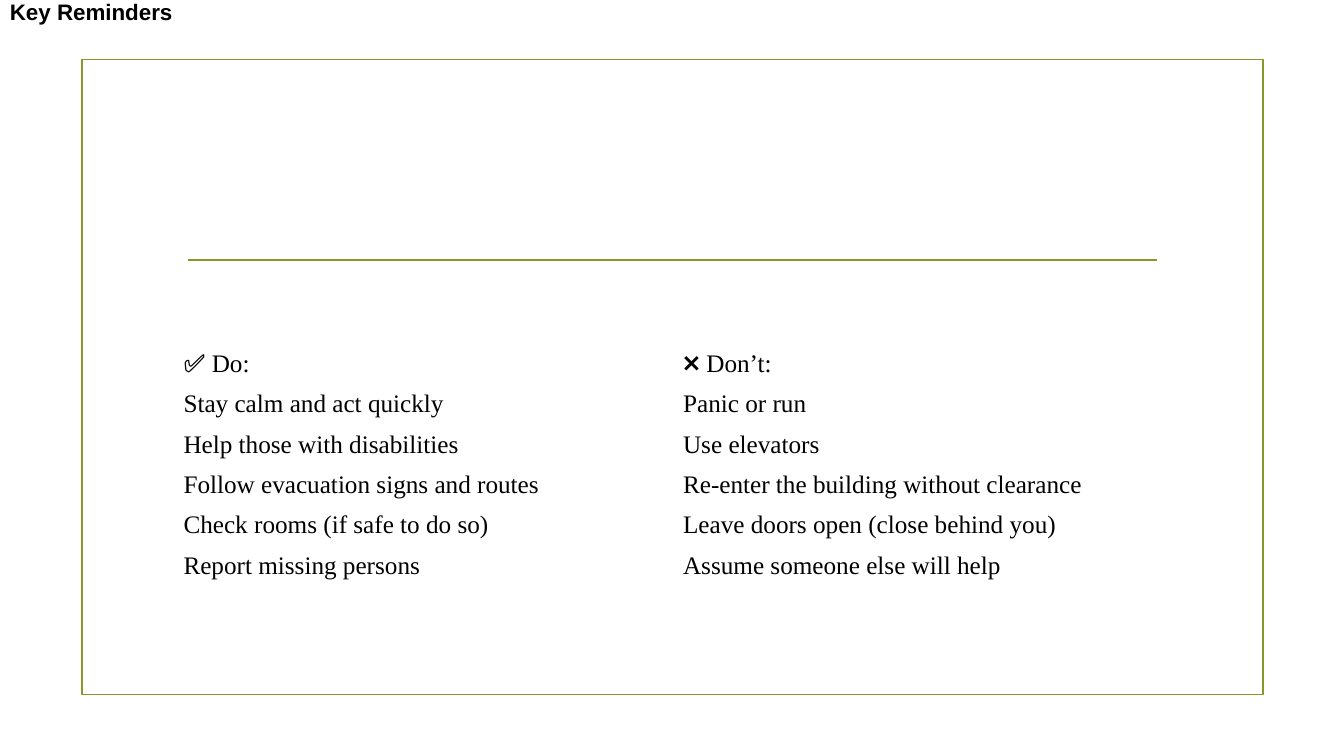
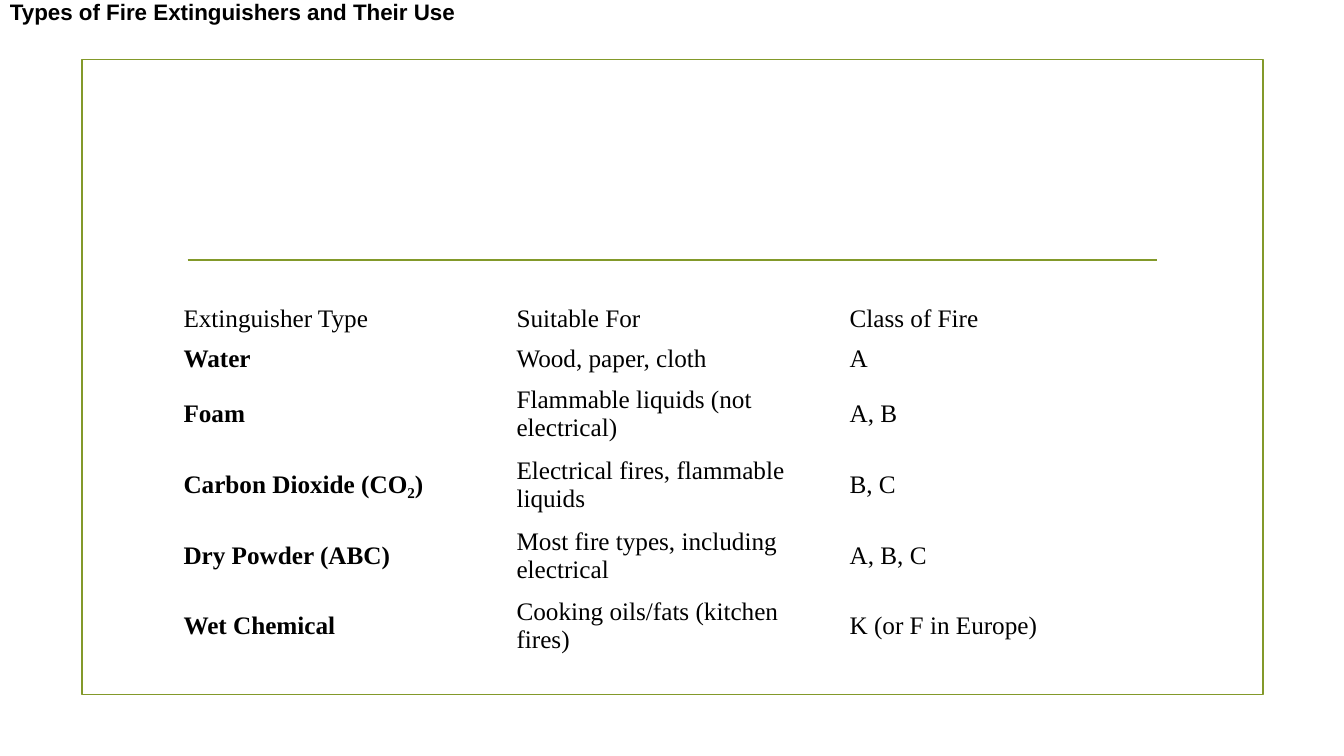
import pptx
import pptx.dml.color
import pptx.enum.shapes
import pptx.enum.text
import pptx.oxml.ns
import pptx.util
from lxml import etree

Inches = pptx.util.Inches
Pt = pptx.util.Pt
MIDDLE = pptx.enum.text.MSO_ANCHOR.MIDDLE


def rgb(value):
    return pptx.dml.color.RGBColor.from_string(value)


class Deck:
    GREEN = "83992A"
    BLACK = "000000"
    WIDTH, HEIGHT = 13.33, 7.5
    TABLE_LEFT, TABLE_WIDTH = 1.72, 9.91

    def __init__(self):
        self.prs = pptx.Presentation()
        self.prs.slide_width = Inches(self.WIDTH)
        self.prs.slide_height = Inches(self.HEIGHT)
        self.s = None

    def slide(self, title):
        """Start a slide with the shared frame, rule and title."""
        self.s = self.prs.slides.add_slide(self.prs.slide_layouts[6])
        self.frame(0.81, 0.59, 11.72, 6.3)
        self.rule(1.86, 11.48, 2.58)
        self.title(title)

    def outline(self, line):
        line.color.rgb = rgb(self.GREEN)
        line.width = Pt(1.25)

    def frame(self, left, top, width, height):
        sp = self.s.shapes.add_shape(
            pptx.enum.shapes.MSO_SHAPE.RECTANGLE,
            Inches(left), Inches(top), Inches(width), Inches(height))
        sp.shadow.inherit = False
        sp.fill.background()
        self.outline(sp.line)

    def rule(self, left, right, y):
        line = self.s.shapes.add_connector(
            pptx.enum.shapes.MSO_CONNECTOR.STRAIGHT,
            Inches(left), Inches(y), Inches(right), Inches(y))
        self.outline(line.line)
        props = line._element.spPr
        etree.SubElement(props, pptx.oxml.ns.qn("a:effectLst"))

    def run(self, p, text, font, size, bold=False):
        r = p.add_run()
        r.text = text
        r.font.name = font
        r.font.size = Pt(size)
        r.font.bold = bold
        r.font.color.rgb = rgb(self.BLACK)

    def title(self, text):
        box = self.s.shapes.add_textbox(0, 0, Inches(self.WIDTH), Inches(0.5))
        tf = box.text_frame
        tf.word_wrap = True
        tf.vertical_anchor = MIDDLE
        tf.margin_top = 0
        tf.margin_bottom = Inches(0.28)
        self.run(tf.paragraphs[0], text, "Arial", 16, bold=True)

    def table(self, top, rows, heights, bold_labels=False):
        """Add a plain table; bold_labels marks the first column below the header."""
        cols = len(rows[0])
        table = self.s.shapes.add_table(
            len(rows), cols, Inches(self.TABLE_LEFT), Inches(top),
            Inches(self.TABLE_WIDTH), Inches(sum(heights))).table
        table.first_row = False
        table.horz_banding = False
        for column in table.columns:
            column.width = Inches(self.TABLE_WIDTH / cols)
        for i, (texts, height) in enumerate(zip(rows, heights)):
            table.rows[i].height = Inches(height)
            for j, text in enumerate(texts):
                cell = table.cell(i, j)
                cell.fill.background()
                cell.vertical_anchor = MIDDLE
                self.run(cell.text_frame.paragraphs[0], text, "Times New Roman",
                         18, bold=bold_labels and i > 0 and j == 0)


REMINDERS = [
    ("✅ Do:", "❌ Don’t:"),
    ("Stay calm and act quickly", "Panic or run"),
    ("Help those with disabilities", "Use elevators"),
    ("Follow evacuation signs and routes", "Re-enter the building without clearance"),
    ("Check rooms (if safe to do so)", "Leave doors open (close behind you)"),
    ("Report missing persons", "Assume someone else will help"),
]

EXTINGUISHERS = [
    ("Extinguisher Type", "Suitable For", "Class of Fire"),
    ("Water", "Wood, paper, cloth", "A"),
    ("Foam", "Flammable liquids (not electrical)", "A, B"),
    ("Carbon Dioxide (CO₂)", "Electrical fires, flammable liquids", "B, C"),
    ("Dry Powder (ABC)", "Most fire types, including electrical", "A, B, C"),
    ("Wet Chemical", "Cooking oils/fats (kitchen fires)", "K (or F in Europe)"),
]


def main():
    deck = Deck()
    deck.slide("Key Reminders")
    deck.table(3.41, REMINDERS, [0.4] * 6)
    deck.slide("Types of Fire Extinguishers and Their Use")
    deck.table(2.96, EXTINGUISHERS, [0.37] * 2 + [0.65] * 4, bold_labels=True)
    deck.prs.save("out.pptx")


if __name__ == "__main__":
    main()
